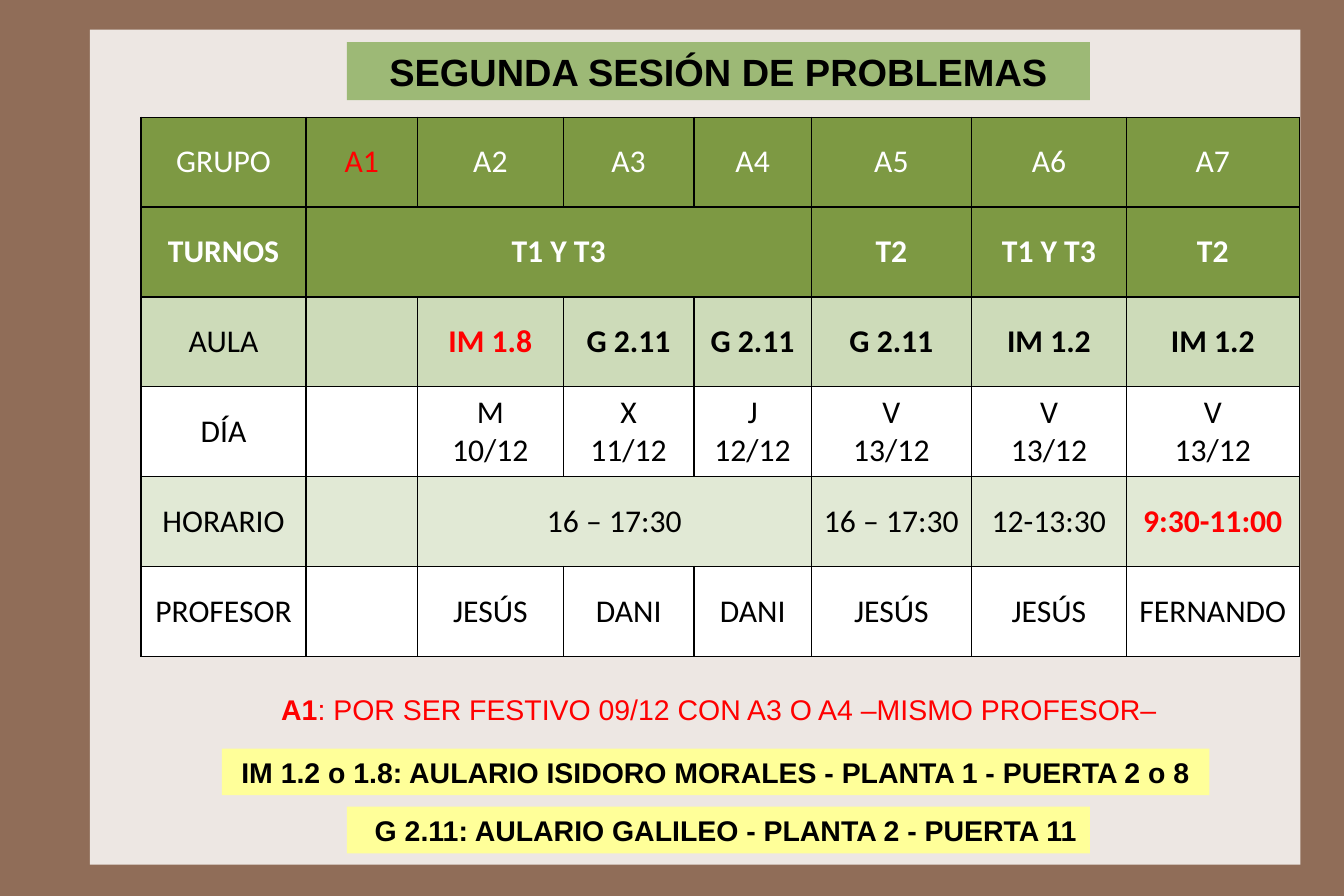
import dataclasses
import itertools

import lxml.etree
import pptx
import pptx.dml.color
import pptx.enum.shapes
import pptx.enum.text
import pptx.oxml.ns
import pptx.util

Inches = pptx.util.Inches


@dataclasses.dataclass(frozen=True)
class Theme:
    """Colours, fonts and type sizes of the slide."""
    frame: str = "906D58"
    panel: str = "EDE7E3"
    title: str = "9DB976"
    note: str = "FFFF99"
    dark: str = "7D9943"
    mid: str = "CDDBB9"
    pale: str = "E1E9D5"
    white: str = "FFFFFF"
    black: str = "000000"
    red: str = "FF0000"
    sans: str = "Arial"
    body: str = "Calibri"
    large: int = 24
    cell: int = 20
    small: int = 18


THEME = Theme()
COLS = (1.45, 0.98, 1.28, 1.15, 1.03, 1.41, 1.36, 1.52)
FILLS = (THEME.dark, THEME.dark, THEME.mid, THEME.white, THEME.pale, THEME.white)
ROWS = (
    ("GRUPO", "A1", "A2", "A3", "A4", "A5", "A6", "A7"),
    ("TURNOS", "T1 Y T3", None, None, None, "T2", "T1 Y T3", "T2"),
    ("AULA", "", "IM 1.8", "G 2.11", "G 2.11", "G 2.11", "IM 1.2", "IM 1.2"),
    ("DÍA", "", "M\n10/12", "X\n11/12", "J\n12/12", "V\n13/12", "V\n13/12", "V\n13/12"),
    ("HORARIO", "", "16 – 17:30", None, None, "16 – 17:30", "12-13:30", "9:30-11:00"),
    ("PROFESOR", "", "JESÚS", "DANI", "DANI", "JESÚS", "JESÚS", "FERNANDO"),
)
SPANS = ((1, 1, 4), (4, 2, 4))
HOT = {(0, 1), (2, 2), (4, 7)}
BOLD = {(1, col) for col in range(8)} | {(2, col) for col in range(1, 8)} | {(4, 7)}


def rgb(code):
    """Turn a hex code into a colour."""
    return pptx.dml.color.RGBColor.from_string(code)


def paint(item, code):
    """Give a shape, cell or background a solid fill."""
    item.fill.solid()
    item.fill.fore_color.rgb = rgb(code)


def write(frame, text, size=THEME.small, color=THEME.black, bold=False,
          font=THEME.sans, head=""):
    """Write centred lines, with an optional bold head on the first."""
    for num, line in enumerate(text.split("\n")):
        para = frame.add_paragraph() if num else frame.paragraphs[0]
        para.alignment = pptx.enum.text.PP_ALIGN.CENTER
        lead = "" if num else head
        for part, heavy in ((lead, True), (line, bold)):
            if part:
                run = para.add_run()
                run.text = part
                run.font.name = font
                run.font.size = pptx.util.Pt(size)
                run.font.bold = heavy
                run.font.color.rgb = rgb(color)


def block(slide, box, fill):
    """Draw a plain filled rectangle."""
    kind = pptx.enum.shapes.MSO_SHAPE.RECTANGLE
    shape = slide.shapes.add_shape(kind, *map(Inches, box))
    shape.shadow.inherit = False
    paint(shape, fill)
    shape.line.fill.background()
    return shape


def label(slide, box, text, fill=None, shift=0, **style):
    """Place one centred line, on a filled bar if a fill is given."""
    if fill:
        shape = block(slide, box, fill)
    else:
        shape = slide.shapes.add_textbox(*map(Inches, box))
    frame = shape.text_frame
    frame.word_wrap = True
    frame.vertical_anchor = pptx.enum.text.MSO_ANCHOR.MIDDLE
    frame.margin_left, frame.margin_right = Inches(0.11 + shift), Inches(0.11)
    frame.margin_top = frame.margin_bottom = Inches(0.05)
    write(frame, text, **style)


def edge(cell):
    """Draw thin black borders round a cell."""
    props = cell._tc.get_or_add_tcPr()
    for num, side in enumerate(("lnL", "lnR", "lnT", "lnB")):
        line = lxml.etree.Element(pptx.oxml.ns.qn("a:" + side), w=str(pptx.util.Pt(1)))
        solid = lxml.etree.SubElement(line, pptx.oxml.ns.qn("a:solidFill"))
        lxml.etree.SubElement(solid, pptx.oxml.ns.qn("a:srgbClr"), val=THEME.black)
        props.insert(num, line)


def grid(slide, box):
    """Build the timetable of groups."""
    table = slide.shapes.add_table(len(ROWS), len(COLS), *map(Inches, box)).table
    table.first_row = table.horz_banding = False
    for col, width in zip(table.columns, COLS):
        col.width = Inches(width)
    for row in table.rows:
        row.height = Inches(box[3] / len(ROWS))
    for spot in itertools.product(range(len(ROWS)), range(len(COLS))):
        row, col = spot
        cell = table.cell(row, col)
        paint(cell, FILLS[row])
        edge(cell)
        cell.vertical_anchor = pptx.enum.text.MSO_ANCHOR.MIDDLE
        cell.margin_left = cell.margin_right = Inches(0.05)
        plain = THEME.white if row < 2 else THEME.black
        write(cell.text_frame, ROWS[row][col] or "", size=THEME.cell, font=THEME.body,
              color=THEME.red if spot in HOT else plain, bold=spot in BOLD)
    for row, first, last in SPANS:
        table.cell(row, first).merge(table.cell(row, last))


def notes(slide, box):
    """Stack the remark and the two room notes."""
    left, top, width, high = box
    label(slide, (left + 0.16, top + 0.55, 8.68, high),
          "IM 1.2 o 1.8: AULARIO ISIDORO MORALES - PLANTA 1 - PUERTA 2 o 8",
          fill=THEME.note, bold=True)
    label(slide, (left + 1.26, top + 1.06, 6.53, high),
          "G 2.11: AULARIO GALILEO - PLANTA 2 - PUERTA 11",
          fill=THEME.note, bold=True, shift=0.13)
    label(slide, (left, top, width, high),
          ": POR SER FESTIVO 09/12 CON A3 O A4 –MISMO PROFESOR–",
          head="A1", color=THEME.red, shift=0.05)


def main():
    """Build the slide and save it."""
    deck = pptx.Presentation()
    deck.slide_width, deck.slide_height = Inches(189 / 16), Inches(63 / 8)
    slide = deck.slides.add_slide(deck.slide_layouts[6])
    paint(slide.background, THEME.frame)
    block(slide, (0.79, 0.26, 10.64, 7.34), THEME.panel)
    grid(slide, (1.24, 1.03, 10.18, 4.74))
    label(slide, (3.05, 0.37, 6.53, 0.51), "SEGUNDA SESIÓN DE PROBLEMAS",
          fill=THEME.title, size=THEME.large, bold=True)
    notes(slide, (1.79, 6.03, 9.01, 0.41))
    deck.save("out.pptx")


if __name__ == "__main__":
    main()
